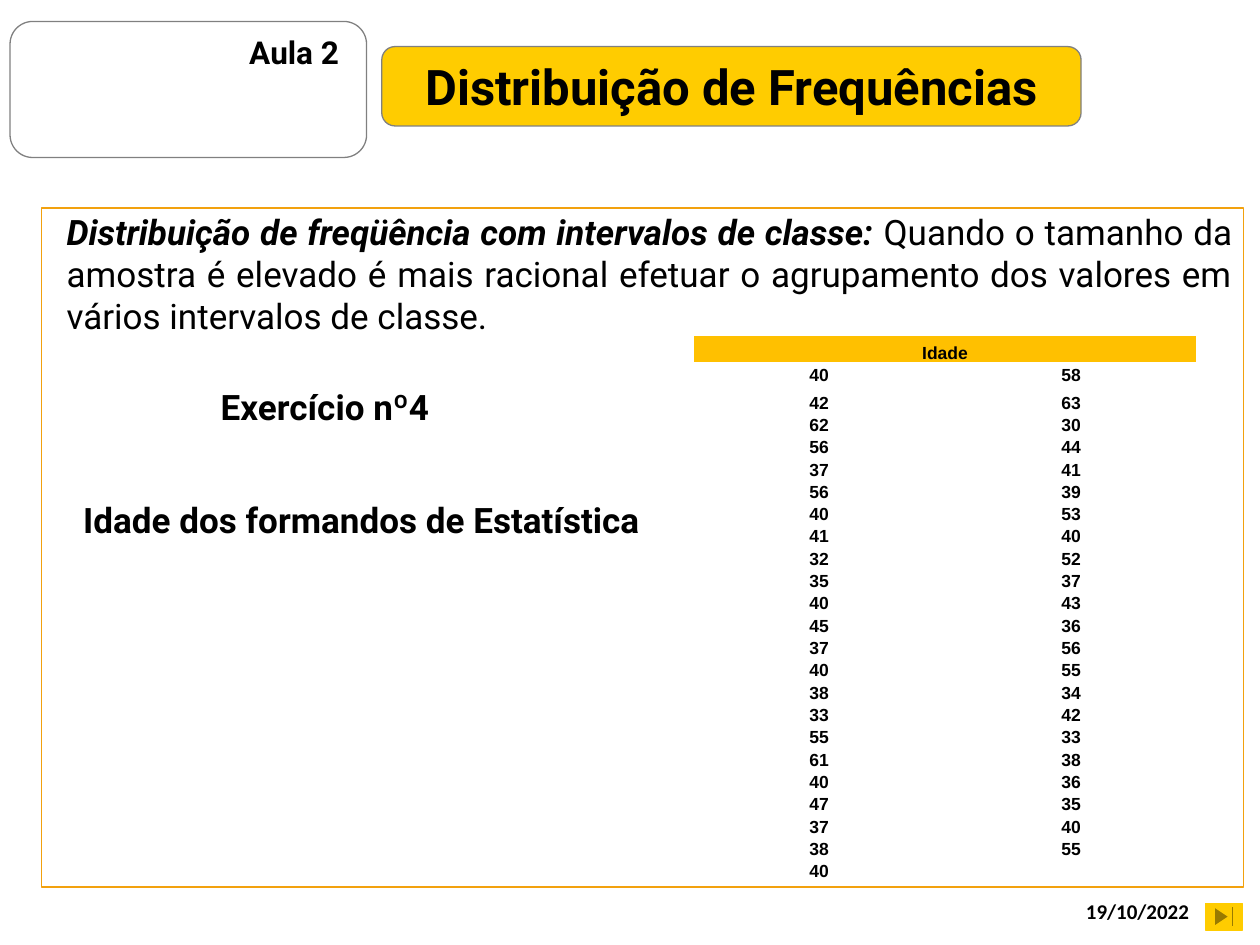
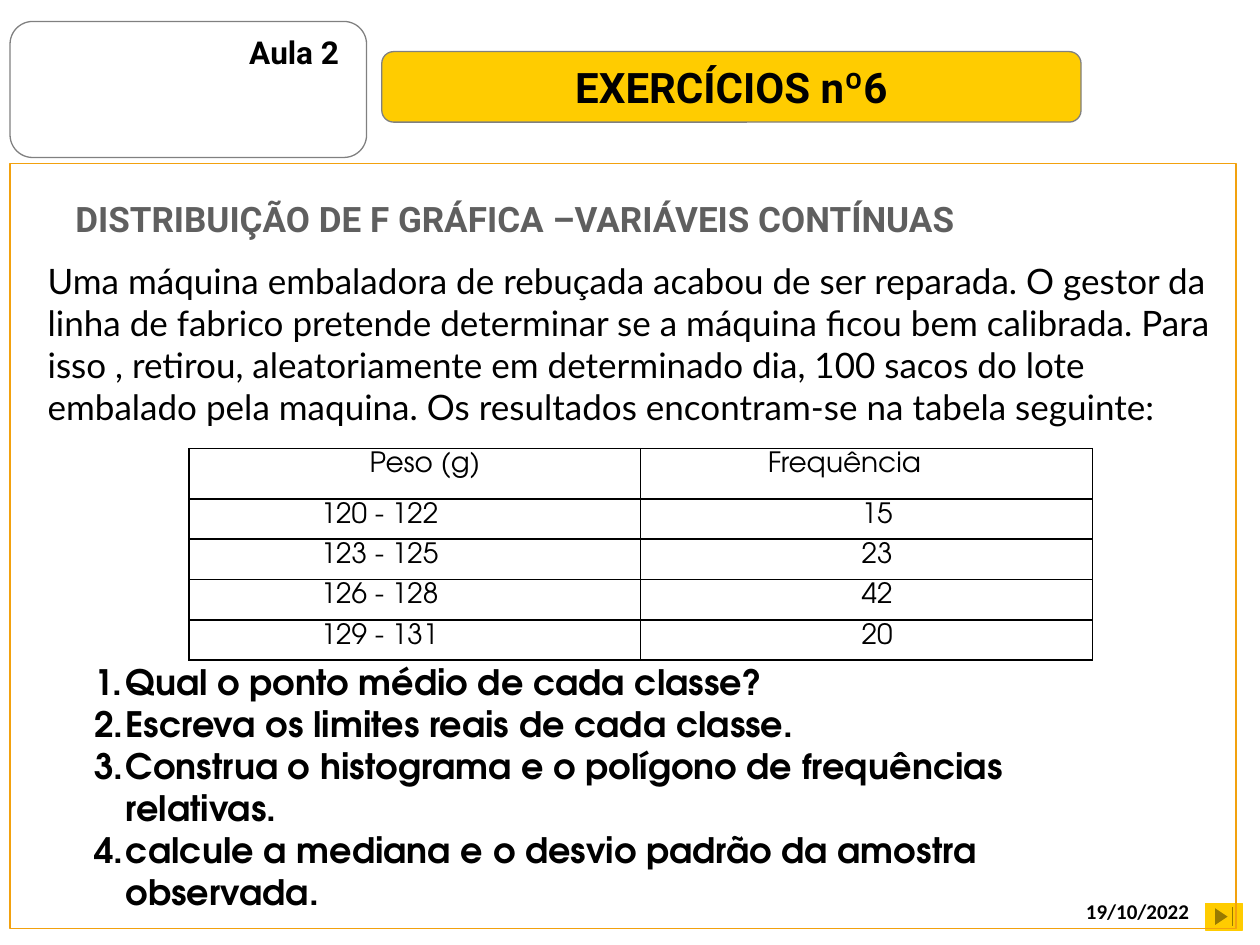
"""Builds two lesson slides on frequency distributions."""
from itertools import zip_longest

from lxml import etree
from pptx import Presentation
from pptx import util as u
from pptx.dml import color
from pptx.enum import shapes, text
from pptx.oxml import ns

BLACK, WHITE, GOLD, AMBER = "000000", "FFFFFF", "FFCC00", "FFC000"
ORANGE, GREY, DARK_GREY = "F2A10E", "808080", "5F5F5F"
TITLE_FONT, DATE_FONT, BODY_FONT = "Roboto", "Calibri", "Lato"
AGE_FONT, TASK_FONT = "Arial", "TeX Gyre Adventor"
LEFT, CENTER, JUSTIFY = text.PP_ALIGN.LEFT, text.PP_ALIGN.CENTER, text.PP_ALIGN.JUSTIFY
TOP, MIDDLE, BOTTOM = text.MSO_ANCHOR.TOP, text.MSO_ANCHOR.MIDDLE, text.MSO_ANCHOR.BOTTOM

LESSON, DATE = "Aula 2", "19/10/2022"
INTRO = [
    ("Distribuição de freqüência com intervalos de classe: ", True),
    ("Quando o tamanho da amostra é elevado é mais racional efetuar o agrupamento "
     "dos valores em vários intervalos de classe.", False),
]
AGES = [
    [40, 42, 62, 56, 37, 56, 40, 41, 32, 35, 40, 45,
     37, 40, 38, 33, 55, 61, 40, 47, 37, 38, 40],
    [58, 63, 30, 44, 41, 39, 53, 40, 52, 37, 43, 36,
     56, 55, 34, 42, 33, 38, 36, 35, 40, 55],
]
PROBLEM = (
    "Uma máquina embaladora de rebuçada acabou de ser reparada. O gestor da linha de "
    "fabrico pretende determinar se a máquina ficou bem calibrada. Para isso , retirou, "
    "aleatoriamente em determinado dia, 100 sacos do lote embalado pela maquina. "
    "Os resultados encontram-se na tabela seguinte:"
)
WEIGHTS = [
    ("Peso (g)", "Frequência"),
    ("120 - 122", "15"),
    ("123 - 125", "23"),
    ("126 - 128", "42"),
    ("129 - 131", "20"),
]
HEADER_MARGINS = [(0.26, 0.1), (0.25, 0.6)]
WEIGHT_MARGINS = [(0.04, 0.6), (0.27, 0.1)]
QUESTIONS = [
    "Qual o ponto médio de cada classe?",
    "Escreva os limites reais de cada classe.",
    "Construa o histograma e o polígono de frequências relativas.",
    "calcule a mediana e o desvio padrão da amostra observada.",
]


def rgb(value):
    return color.RGBColor.from_string(value)


def inches(*values):
    return [u.Inches(value) for value in values]


def add_span(para, words, size, font, ink=BLACK, bold=False, italic=False):
    span = para.add_run()
    span.text = words
    span.font.size = u.Pt(size)
    span.font.name = font
    span.font.bold = bold
    span.font.italic = italic
    span.font.color.rgb = rgb(ink)


def add_panel(page, kind, at, line, fill=None):
    panel = page.shapes.add_shape(kind, *inches(*at))
    panel.shadow.inherit = False
    panel.line.color.rgb = rgb(line)
    panel.line.width = u.Pt(0.75)
    if fill:
        panel.fill.solid()
        panel.fill.fore_color.rgb = rgb(fill)
    else:
        panel.fill.background()
    return panel


def add_box(page, at, align=LEFT, anchor=TOP):
    frame = page.shapes.add_textbox(*inches(*at)).text_frame
    frame.word_wrap = True
    frame.vertical_anchor = anchor
    frame.paragraphs[0].alignment = align
    return frame


def add_label(page, at, words, size, font, ink=BLACK, bold=True, align=LEFT, anchor=TOP):
    para = add_box(page, at, align, anchor).paragraphs[0]
    add_span(para, words, size, font, ink, bold)


def add_page(deck, title, size, band_top, band_height, frame_at):
    page = deck.slides.add_slide(deck.slide_layouts[6])
    rounded = shapes.MSO_SHAPE.ROUNDED_RECTANGLE
    add_panel(page, rounded, (0.08, 0.17, 2.83, 1.08), GREY)
    band = add_panel(page, rounded, (3.03, band_top, 5.55, band_height), GREY, GOLD)
    band.text_frame.vertical_anchor = MIDDLE
    para = band.text_frame.paragraphs[0]
    para.alignment = CENTER
    add_span(para, title, size, TITLE_FONT, bold=True)
    add_panel(page, shapes.MSO_SHAPE.ACTION_BUTTON_END, (9.57, 7.17, 0.29, 0.21), GOLD, GOLD)
    add_label(page, (8.52, 7.03, 1.14, 0.4), DATE, 12, DATE_FONT, anchor=MIDDLE)
    add_panel(page, shapes.MSO_SHAPE.RECTANGLE, frame_at, ORANGE)
    add_label(page, (1.88, 0.21, 1, 0.4), LESSON, 18, TITLE_FONT, anchor=MIDDLE)
    return page


def add_grid(page, at, heights, columns):
    grid = page.shapes.add_table(len(heights), columns, *inches(*at)).table
    grid.first_row = grid.horz_banding = False
    for row, height in zip(grid.rows, heights):
        row.height = u.Inches(height)
    return grid


def fill_cell(cell, words, size, font, margins, anchor, fill=None, bold=False):
    cell.margin_left, cell.margin_top, cell.margin_right, cell.margin_bottom = inches(*margins)
    cell.vertical_anchor = anchor
    if fill:
        cell.fill.solid()
        cell.fill.fore_color.rgb = rgb(fill)
    else:
        cell.fill.background()
    para = cell.text_frame.paragraphs[0]
    para.alignment = CENTER
    if words:
        add_span(para, words, size, font, bold=bold)
    else:
        etree.SubElement(para._p, ns.qn("a:endParaRPr"), sz=str(size * 100))


def outline_cell(cell):
    properties = cell._tc.get_or_add_tcPr()
    for index, side in enumerate(("lnL", "lnR", "lnT", "lnB")):
        line = etree.Element(ns.qn("a:" + side), w=str(u.Pt(1)))
        fill = etree.SubElement(line, ns.qn("a:solidFill"))
        etree.SubElement(fill, ns.qn("a:srgbClr"), val=BLACK)
        properties.insert(index, line)


def add_ages(page):
    header, height = 0.22, 4.33
    count = len(AGES[0])
    plain = (height - 2 * header) / (count - 1)
    heights = [header, plain, header] + [plain] * (count - 2)
    grid = add_grid(page, (5.5, 2.66, 4, height), heights, len(AGES))
    rows = [("Idade", "")] + list(zip_longest(*AGES, fillvalue=""))
    for r, row in enumerate(rows):
        for c, value in enumerate(row):
            fill_cell(grid.cell(r, c), str(value), 10, AGE_FONT, (0.01, 0.01, 0.01, 0),
                      BOTTOM, WHITE if r else AMBER, True)
    grid.cell(0, 0).merge(grid.cell(0, 1))


def add_weights(page):
    heights = [0.4] + [0.32] * (len(WEIGHTS) - 1)
    grid = add_grid(page, (1.5, 3.56, 7.17, sum(heights)), heights, 2)
    for r, row in enumerate(WEIGHTS):
        for c, words in enumerate(row):
            left, right = (WEIGHT_MARGINS if r else HEADER_MARGINS)[c]
            fill_cell(grid.cell(r, c), words, 16, TASK_FONT, (left, 0.03, right, 0), TOP)
            outline_cell(grid.cell(r, c))


def add_questions(page):
    frame = add_box(page, (0.4, 5.19, 8.86, 2.12))
    for index, question in enumerate(QUESTIONS):
        para = frame.add_paragraph() if index else frame.paragraphs[0]
        properties = para._p.get_or_add_pPr()
        properties.set("marL", str(u.Inches(0.5)))
        properties.set("indent", str(u.Inches(-0.25)))
        etree.SubElement(properties, ns.qn("a:buFont"), typeface="+mj-lt")
        etree.SubElement(properties, ns.qn("a:buAutoNum"), type="arabicPeriod")
        add_span(para, question, 20, TASK_FONT, bold=True)


def build_ages_page(deck):
    page = add_page(deck, "Distribuição de Frequências", 28, 0.37, 0.63,
                    (0.33, 1.65, 9.54, 5.39))
    para = add_box(page, (0.43, 1.62, 9.45, 1.11), JUSTIFY).paragraphs[0]
    for words, strong in INTRO:
        add_span(para, words, 20, TITLE_FONT, bold=strong, italic=strong)
    add_label(page, (0.47, 3.91, 4.8, 0.44), "Idade dos formandos de Estatística",
              20, TITLE_FONT, align=CENTER)
    add_ages(page)
    add_label(page, (1.6, 3.01, 1.96, 0.44), "Exercício nº4", 20, TITLE_FONT, align=CENTER)


def build_weights_page(deck):
    page = add_page(deck, "EXERCÍCIOS nº6", 24, 0.41, 0.56, (0.08, 1.3, 9.73, 6.07))
    add_label(page, (0.5, 1.52, 8.2, 0.44), "DISTRIBUIÇÃO DE F GRÁFICA –VARIÁVEIS CONTÍNUAS",
              20, TITLE_FONT, DARK_GREY)
    add_label(page, (0.28, 2.01, 9.44, 1.45), PROBLEM, 20, BODY_FONT, bold=False)
    add_weights(page)
    add_questions(page)


def main():
    deck = Presentation()
    deck.slide_width, deck.slide_height = inches(10, 7.5)
    build_ages_page(deck)
    build_weights_page(deck)
    deck.save("out.pptx")


if __name__ == "__main__":
    main()
